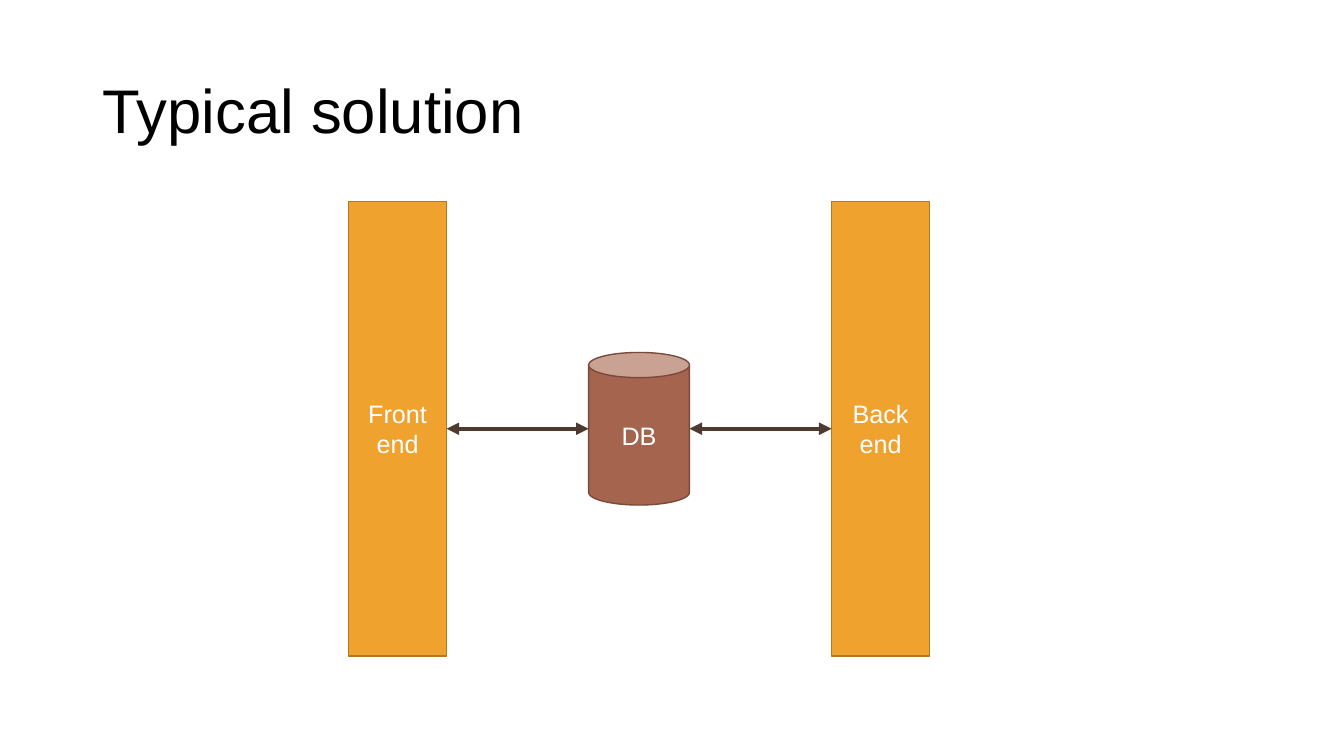
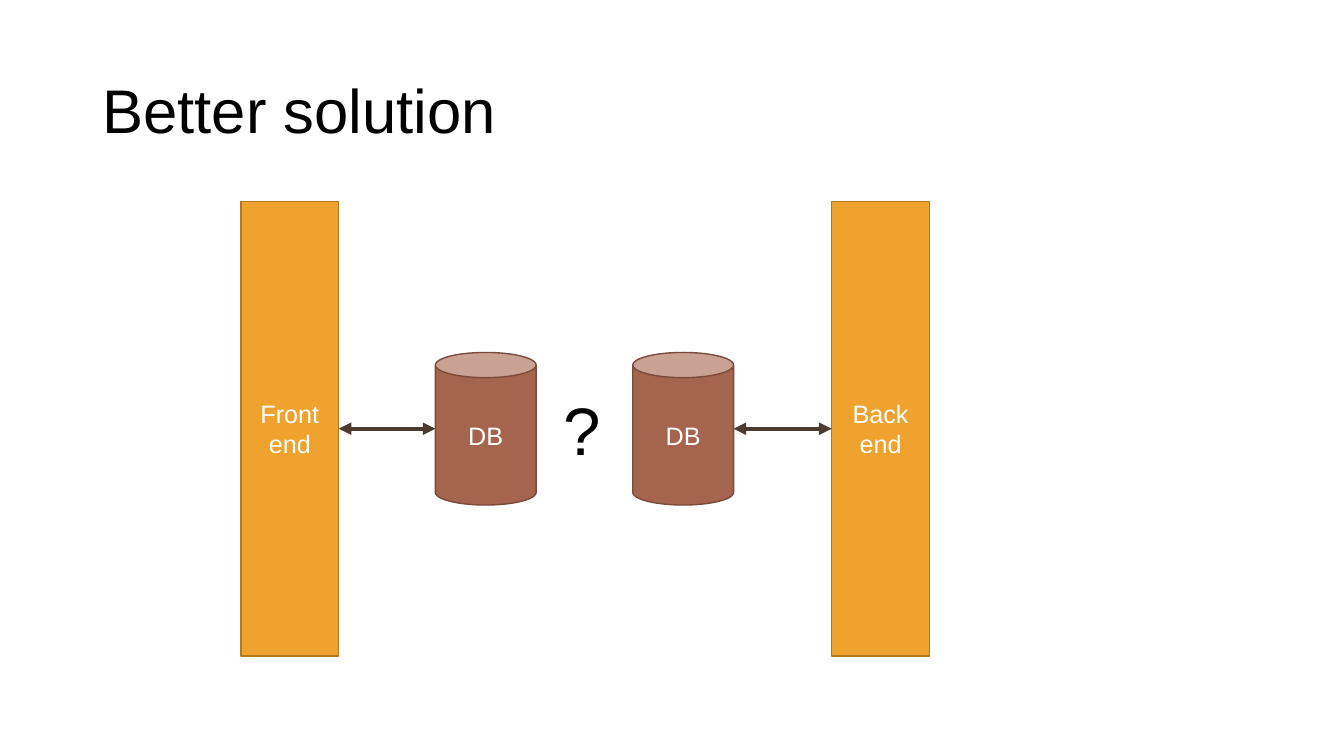
"""Build two slides comparing a typical and a better front end and back end solution."""
import dataclasses

import lxml.etree
import pptx
import pptx.dml.color
import pptx.enum.shapes
import pptx.enum.text
import pptx.oxml.ns
import pptx.util

Pt = pptx.util.Pt
RGB = pptx.dml.color.RGBColor.from_string
qn = pptx.oxml.ns.qn
SHAPES = pptx.enum.shapes.MSO_SHAPE
ALIGN = pptx.enum.text.PP_ALIGN
ANCHOR = pptx.enum.text.MSO_ANCHOR


@dataclasses.dataclass(frozen=True)
class Theme:
    font: str = "Arial"
    text: str = "000000"
    label: str = "FFFFFF"
    tier_fill: str = "F0A22E"
    tier_line: str = "B27822"
    database_fill: str = "A5644E"
    database_line: str = "7A4A3A"
    arrow: str = "4E3B30"
    title_size: int = 44
    label_size: int = 18
    mark_size: int = 48


theme = Theme()
KINDS = {
    "tier": (SHAPES.RECTANGLE, 70, 325, theme.tier_fill, theme.tier_line),
    "database": (SHAPES.CAN, 72, 109, theme.database_fill, theme.database_line),
}
MIDDLE = 306.25
BACK_LEFT = 594
SLIDES = [
    {
        "title": "Typical solution",
        "nodes": [("tier", "Front end", 249), ("database", "DB", 420.5),
                  ("tier", "Back\nend", BACK_LEFT)],
        "links": [(0, 1), (1, 2)],
        "mark": None,
    },
    {
        "title": "Better solution",
        "nodes": [("tier", "Front end", 172), ("database", "DB", 311),
                  ("database", "DB", 452), ("tier", "Back\nend", BACK_LEFT)],
        "links": [(0, 1), (2, 3)],
        "mark": ("?", 394.5, 273.5, 43, 65.5),
    },
]


def write(shape, text, size, color, alignment):
    shape.text_frame.text = text
    for paragraph in shape.text_frame.paragraphs:
        paragraph.alignment = alignment
        paragraph.font.name = theme.font
        paragraph.font.size = Pt(size)
        paragraph.font.color.rgb = RGB(color)


def add_double_arrow(slide, start, end):
    arrow = slide.shapes.add_connector(
        pptx.enum.shapes.MSO_CONNECTOR.STRAIGHT, start, Pt(MIDDLE), end, Pt(MIDDLE))
    arrow.line.color.rgb = RGB(theme.arrow)
    arrow.line.width = Pt(3)
    for tag in ("a:headEnd", "a:tailEnd"):
        lxml.etree.SubElement(arrow.line._get_or_add_ln(), qn(tag), type="triangle")
    lxml.etree.SubElement(arrow._element.spPr, qn("a:effectLst"))


presentation = pptx.Presentation()
presentation.slide_width, presentation.slide_height = Pt(960), Pt(540)
title_only = presentation.slide_layouts[5]

for content in SLIDES:
    slide = presentation.slides.add_slide(title_only)
    title = slide.shapes.title
    title.left, title.top, title.width, title.height = Pt(66), Pt(29), Pt(828), Pt(104)
    write(title, content["title"], theme.title_size, theme.text, ALIGN.LEFT)
    title.text_frame.vertical_anchor = ANCHOR.MIDDLE
    title.text_frame.auto_size = pptx.enum.text.MSO_AUTO_SIZE.NONE
    title.text_frame.paragraphs[0].line_spacing = 0.9

    nodes = []
    for kind, label, left in content["nodes"]:
        preset, width, height, fill, line = KINDS[kind]
        node = slide.shapes.add_shape(
            preset, Pt(left), Pt(MIDDLE - height / 2), Pt(width), Pt(height))
        node.shadow.inherit = False
        node.fill.solid()
        node.fill.fore_color.rgb = RGB(fill)
        node.line.color.rgb = RGB(line)
        node.line.width = Pt(1)
        node.text_frame.vertical_anchor = ANCHOR.MIDDLE
        write(node, label, theme.label_size, theme.label, ALIGN.CENTER)
        nodes.append(node)

    for first, second in content["links"]:
        add_double_arrow(slide, nodes[first].left + nodes[first].width, nodes[second].left)

    if content["mark"]:
        text, *box = content["mark"]
        mark = slide.shapes.add_textbox(*map(Pt, box))
        write(mark, text, theme.mark_size, theme.text, ALIGN.CENTER)
        mark.text_frame.word_wrap = True

presentation.save("out.pptx")
